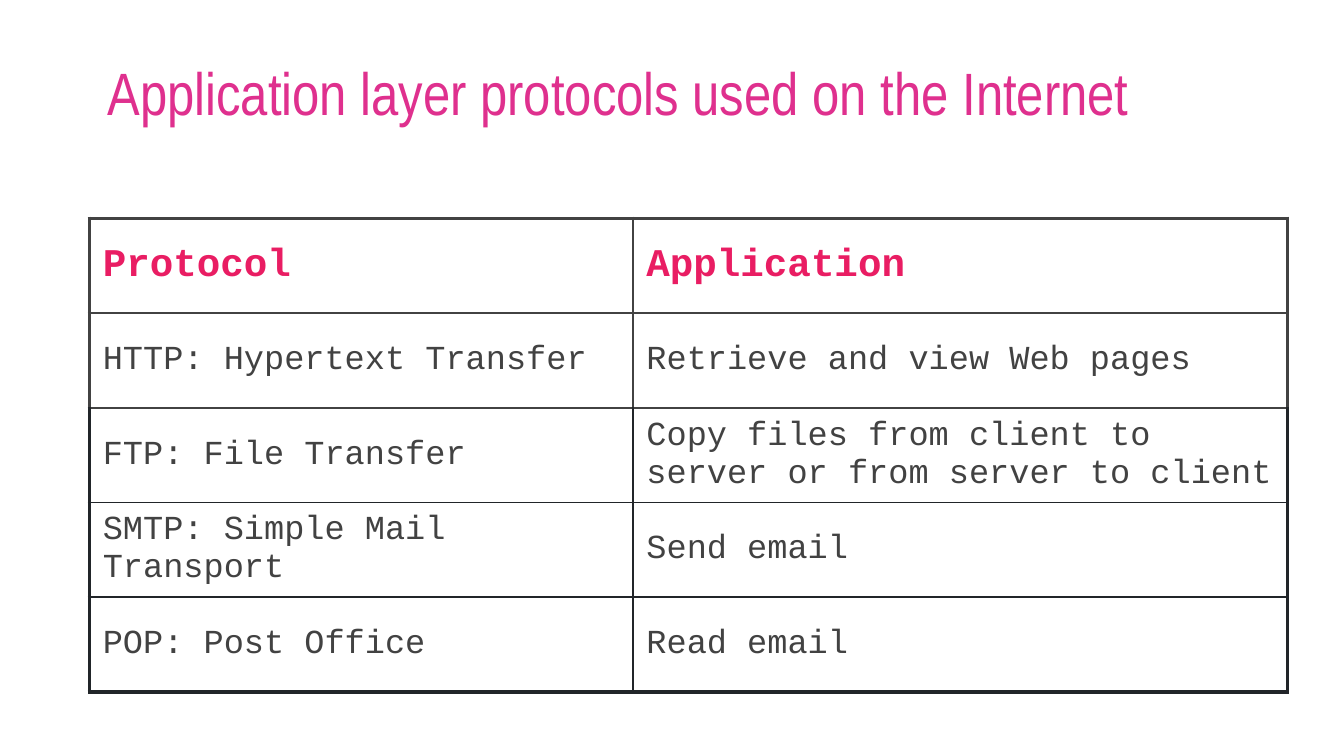
import pptx
import pptx.dml.color
import pptx.enum.text
import pptx.oxml.ns
import pptx.util
from lxml import etree

# Content
TITLE = "Application layer protocols used on the Internet"
PROTOCOLS = [
    ("Protocol", "Application"),
    ("HTTP: Hypertext Transfer", "Retrieve and view Web pages"),
    ("FTP: File Transfer", "Copy files from client to server or from server to client"),
    ("SMTP: Simple Mail Transport", "Send email"),
    ("POP: Post Office", "Read email"),
]

# Theme and layout, lengths in px
THEME = {
    "title": {"size": 32, "font": "Arial Narrow", "color": "DF308E"},
    "header": {"size": 21, "font": "Courier New", "color": "E91D63", "bold": True},
    "body": {"size": 18, "font": "Courier New", "color": "424242"},
    "upper_border": "424242",
    "lower_border": "212529",
    "outer_width": 2.25,
    "inner_width": 1,
}
PX_PER_INCH = 200
SLIDE_SIZE = (2000, 1125)
TITLE_BOX = (100, 42, 1800, 188)
TABLE_LEFT, TABLE_TOP = 133, 325
COLUMN_WIDTHS = (809, 974)
ROW_HEIGHT = 141
UPPER_ROWS = 2  # rows drawn with the lighter border


def px(length):
    return pptx.util.Emu(length * pptx.util.Inches(1) // PX_PER_INCH)


def write(frame, text, *, size, font, color, bold=False):
    run = frame.paragraphs[0].add_run()
    run.text = text
    run.font.size = pptx.util.Pt(size)
    run.font.name = font
    run.font.bold = bold
    run.font.color.rgb = pptx.dml.color.RGBColor.from_string(color)


def set_margins(owner, side, end):
    owner.margin_left = owner.margin_right = px(side)
    owner.margin_top = owner.margin_bottom = px(end)


def add_border(cell, position, edge, color, width):
    qn = pptx.oxml.ns.qn
    line = etree.Element(qn(f"a:ln{edge}"), w=str(int(pptx.util.Pt(width))))
    fill = etree.SubElement(line, qn("a:solidFill"))
    etree.SubElement(fill, qn("a:srgbClr"), val=color)
    # Borders come before the fill in the cell properties
    cell._tc.get_or_add_tcPr().insert(position, line)


def border_color(row):
    return THEME["upper_border" if row < UPPER_ROWS else "lower_border"]


def add_title(slide):
    frame = slide.shapes.add_textbox(*map(px, TITLE_BOX)).text_frame
    frame.word_wrap = True
    frame.vertical_anchor = pptx.enum.text.MSO_ANCHOR.MIDDLE
    set_margins(frame, 60, 10)
    write(frame, TITLE, **THEME["title"])


def add_protocol_table(slide):
    last_row, last_column = len(PROTOCOLS) - 1, len(COLUMN_WIDTHS) - 1
    table = slide.shapes.add_table(
        len(PROTOCOLS), len(COLUMN_WIDTHS), px(TABLE_LEFT), px(TABLE_TOP),
        px(sum(COLUMN_WIDTHS)), px(ROW_HEIGHT * len(PROTOCOLS))).table
    table.first_row = table.horz_banding = False
    for column, width in zip(table.columns, COLUMN_WIDTHS):
        column.width = px(width)
    for row in table.rows:
        row.height = px(ROW_HEIGHT)

    for r, entries in enumerate(PROTOCOLS):
        for c, text in enumerate(entries):
            cell = table.cell(r, c)
            cell.fill.background()
            cell.vertical_anchor = pptx.enum.text.MSO_ANCHOR.MIDDLE
            set_margins(cell, 20, 8)
            write(cell.text_frame, text, **THEME["body" if r else "header"])
            # Heavy outside, thin inside; a top edge belongs to the row above
            edges = [
                ("L", c == 0, r),
                ("R", c == last_column, r),
                ("T", r == 0, max(r - 1, 0)),
                ("B", r == last_row, r),
            ]
            for position, (edge, outer, color_row) in enumerate(edges):
                width = THEME["outer_width" if outer else "inner_width"]
                add_border(cell, position, edge, border_color(color_row), width)


def main():
    deck = pptx.Presentation()
    deck.slide_width, deck.slide_height = map(px, SLIDE_SIZE)
    slide = deck.slides.add_slide(deck.slide_layouts[6])
    add_title(slide)
    add_protocol_table(slide)
    deck.save("out.pptx")


if __name__ == "__main__":
    main()
